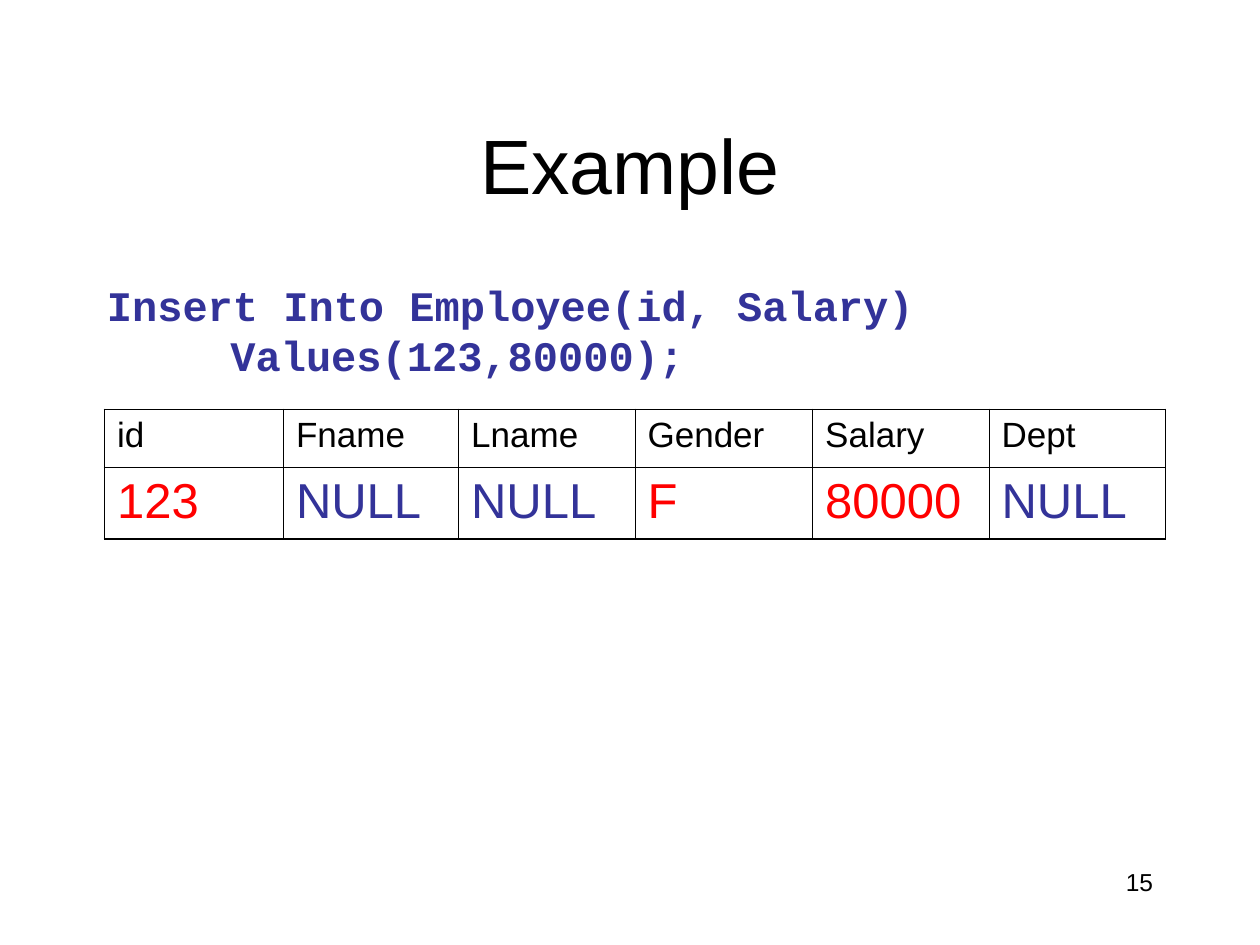
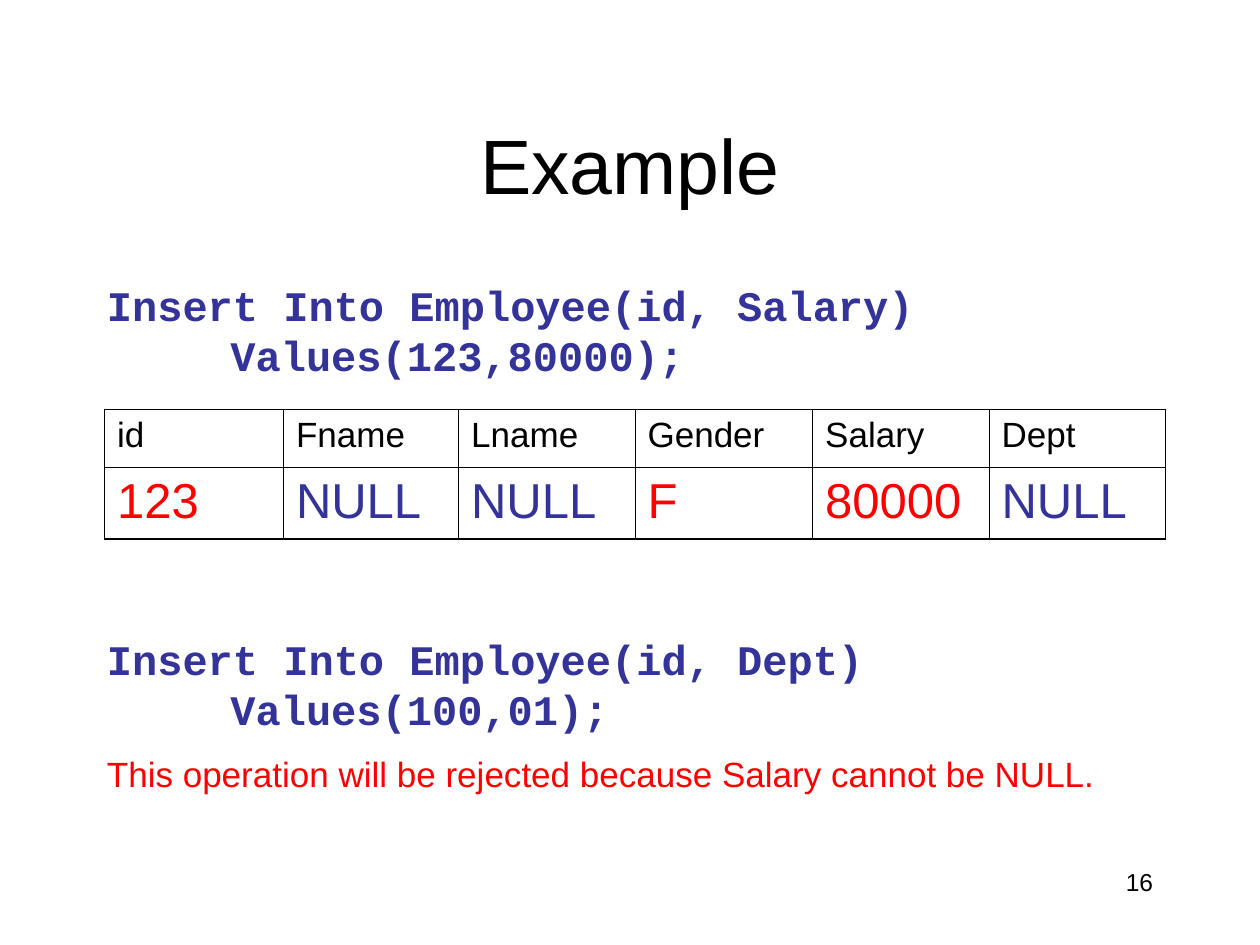
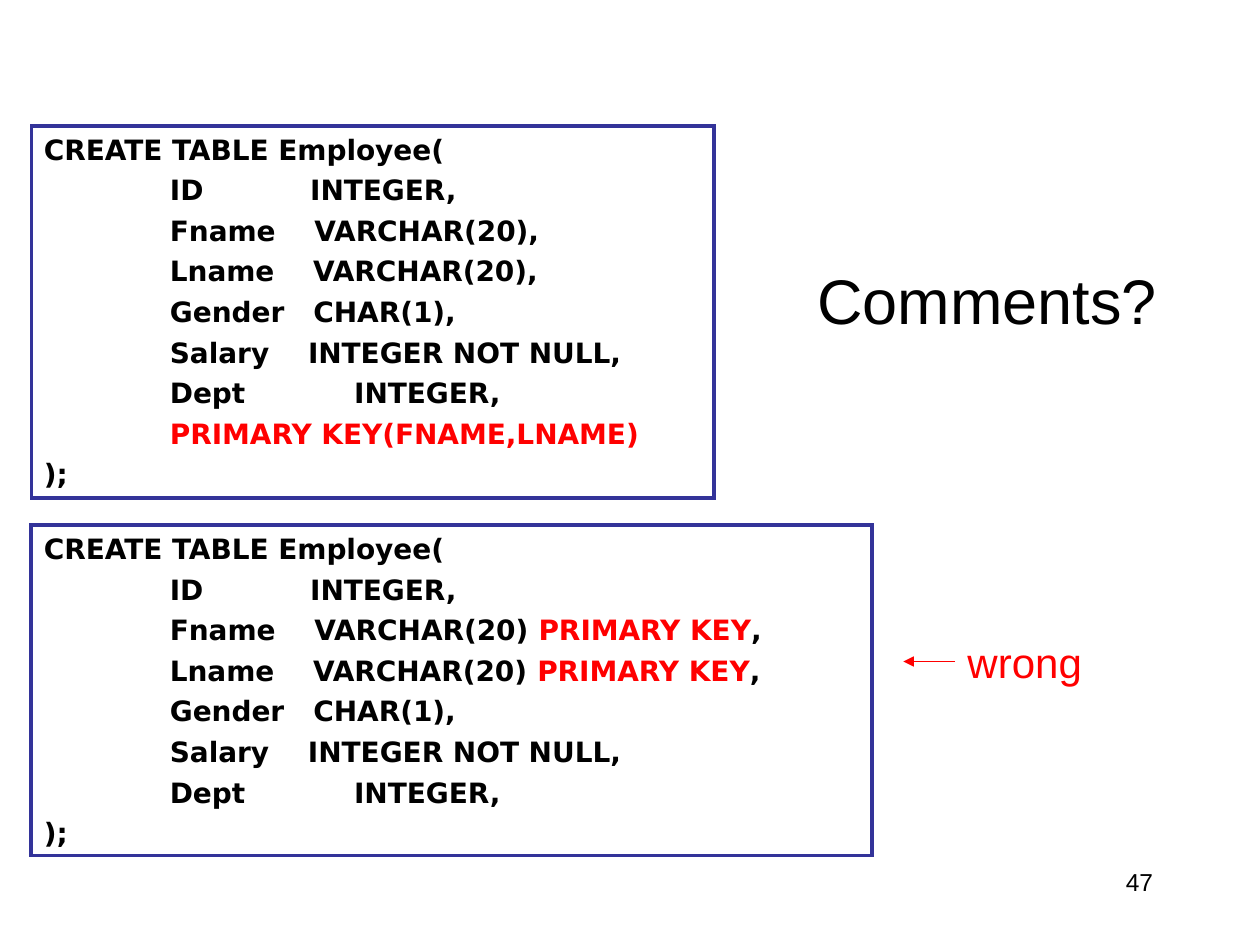
from lxml.etree import SubElement as Sub
from pptx import Presentation
from pptx.dml.color import RGBColor as RGB
from pptx.enum.shapes import MSO_CONNECTOR as Conn, MSO_SHAPE as Shape
from pptx.enum.text import MSO_ANCHOR as Anchor, PP_ALIGN as Align
from pptx.oxml import parse_xml
from pptx.oxml.ns import nsdecls, qn
from pptx.util import Inches, Pt

BLACK = RGB(0x00, 0x00, 0x00)
BLUE = RGB(0x33, 0x33, 0x99)
RED = RGB(0xFF, 0x00, 0x00)
SANS, MONO, BOLD = "Arial", "Courier New", "DejaVu Sans"

HEADS = ["id", "Fname", "Lname", "Gender", "Salary", "Dept"]
VALUES = ["123", "NULL", "NULL", "F", "80000", "NULL"]
WIDTHS = [1.42, 1.39, 1.4, 1.41, 1.4, 1.4]
HEIGHTS = [0.46, 0.56]

FIRST = "Insert Into Employee(id, Salary)\n   Values(123,80000);"
SECOND = "Insert Into Employee(id, Dept)\n   Values(100,01);"
REJECT = "This operation will be rejected because Salary cannot be NULL."

OPEN = ["CREATE TABLE Employee("]
ID = ["\tID           INTEGER,"]
FNAME = "\tFname    VARCHAR(20)"
LNAME = "\tLname    VARCHAR(20)"
REST = [
    ["\tGender   CHAR(1),"],
    ["\tSalary    INTEGER NOT NULL,"],
    ["\tDept\t      INTEGER,"],
]
CLOSE = [");"]
KEY = "PRIMARY KEY"
JOINT = [OPEN, ID, [FNAME + ","], [LNAME + ","], *REST,
         ["\t", KEY + "(FNAME,LNAME)"], CLOSE]
TWICE = [OPEN, ID, [FNAME + " ", KEY, ","], [LNAME + " ", KEY, ","], *REST, CLOSE]


def style(para, size, color=BLACK, font=SANS, bold=False):
    for run in para.runs:
        run.font.size = Pt(size)
        run.font.name = font
        run.font.bold = bold
        run.font.color.rgb = color


def add_text(slide, box, text, size, color=BLACK, align=Align.LEFT, anchor=Anchor.TOP):
    frame = slide.shapes.add_textbox(*map(Inches, box)).text_frame
    frame.word_wrap = True
    frame.vertical_anchor = anchor
    frame.text = text
    para = frame.paragraphs[0]
    para.alignment = align
    style(para, size, color)


def add_title(slide, box, text, size):
    add_text(slide, box, text, size, align=Align.CENTER, anchor=Anchor.MIDDLE)


def add_number(slide, num):
    add_text(slide, (7.17, 6.83, 2.08, 0.5), str(num), 14, align=Align.RIGHT)


def add_query(slide, top, query, note=None):
    box = slide.shapes.add_textbox(Inches(0.75), Inches(top), Inches(8.75), Inches(1))
    frame = box.text_frame
    frame.word_wrap = True
    para = frame.paragraphs[0]
    para.text = query
    style(para, 24, BLUE, MONO, True)
    if note:
        last = frame.add_paragraph()
        last.text = note
        last.space_before = Pt(6)
        style(last, 20, RED)
    for para in frame.paragraphs:
        para.line_spacing = Pt(28.6)
        props = para._p.get_or_add_pPr()
        props.set("marL", str(Inches(0.38)))
        props.set("indent", str(-Inches(0.38)))


def add_edges(cell, outer):
    props = cell._tc.get_or_add_tcPr()
    for i, side in enumerate("LRTB"):
        width = Pt(1.08 if outer[side] else 0.45)
        props.insert(i, parse_xml(
            f'<a:ln{side} {nsdecls("a")} w="{width}"><a:solidFill>'
            f'<a:srgbClr val="{BLACK}"/></a:solidFill></a:ln{side}>'))


def add_record(slide):
    frame = slide.shapes.add_table(
        2, len(HEADS), Inches(0.83), Inches(3.25),
        Inches(sum(WIDTHS)), Inches(sum(HEIGHTS)))
    table = frame.table
    table.first_row = table.horz_banding = False
    for col, width in zip(table.columns, WIDTHS):
        col.width = Inches(width)
    for r, (row, texts) in enumerate(zip(table.rows, [HEADS, VALUES])):
        row.height = Inches(HEIGHTS[r])
        for c, text in enumerate(texts):
            cell = table.cell(r, c)
            cell.text = text
            color = BLACK if r == 0 else BLUE if text == "NULL" else RED
            style(cell.text_frame.paragraphs[0], 28 if r else 20, color)
            cell.fill.background()
            add_edges(cell, {"L": c == 0, "R": c == len(HEADS) - 1,
                             "T": r == 0, "B": r == 1})


def add_tabs(para):
    tabs = Sub(para._p.get_or_add_pPr(), qn("a:tabLst"))
    for stop in (1, 2):
        Sub(tabs, qn("a:tab"), pos=str(Inches(stop)), algn="l")


def add_code(slide, box, lines):
    rect = slide.shapes.add_shape(Shape.RECTANGLE, *map(Inches, box))
    rect.shadow.inherit = False
    rect.fill.background()
    rect.line.color.rgb = BLUE
    rect.line.width = Pt(2.25)
    Sub(rect.line._get_or_add_ln(), qn("a:miter"), lim="800000")
    frame = rect.text_frame
    frame.vertical_anchor = Anchor.TOP
    for i, parts in enumerate(lines):
        para = frame.add_paragraph() if i else frame.paragraphs[0]
        para.alignment = Align.LEFT
        para.line_spacing = Pt(19.2)
        para.space_before = Pt(4 if i else 0)
        add_tabs(para)
        for part in parts:
            para.add_run().text = part
        style(para, 16, BLACK, BOLD, True)
        for run in para.runs[1::2]:
            run.font.color.rgb = RED


def add_arrow(slide, start, end):
    line = slide.shapes.add_connector(Conn.STRAIGHT, *map(Inches, start + end))
    line.line.color.rgb = RED
    line.line.width = Pt(0.75)
    Sub(line.line._get_or_add_ln(), qn("a:tailEnd"), type="triangle")
    Sub(line._element.spPr, qn("a:effectLst"))


def add_example(deck, num):
    slide = deck.slides.add_slide(deck.slide_layouts[6])
    add_title(slide, (0.75, 0.67, 8.5, 1.25), "Example", 44)
    add_query(slide, 2.17, FIRST)
    add_record(slide)
    add_number(slide, num)
    return slide


def main():
    deck = Presentation()
    deck.slide_width, deck.slide_height = Inches(10), Inches(7.5)

    add_example(deck, 15)
    add_query(add_example(deck, 16), 4.98, SECOND, REJECT)

    slide = deck.slides.add_slide(deck.slide_layouts[6])
    add_number(slide, 47)
    add_title(slide, (6.17, 1.75, 3.33, 1.25), "Comments?", 36)
    add_code(slide, (0.25, 1, 5.42, 2.95), JOINT)
    add_code(slide, (0.25, 4.17, 6.67, 2.62), TWICE)
    add_text(slide, (7.58, 5, 1.58, 0.5), "wrong", 24, RED)
    add_arrow(slide, (7.58, 5.25), (7.17, 5.25))

    deck.save("out.pptx")


if __name__ == "__main__":
    main()
